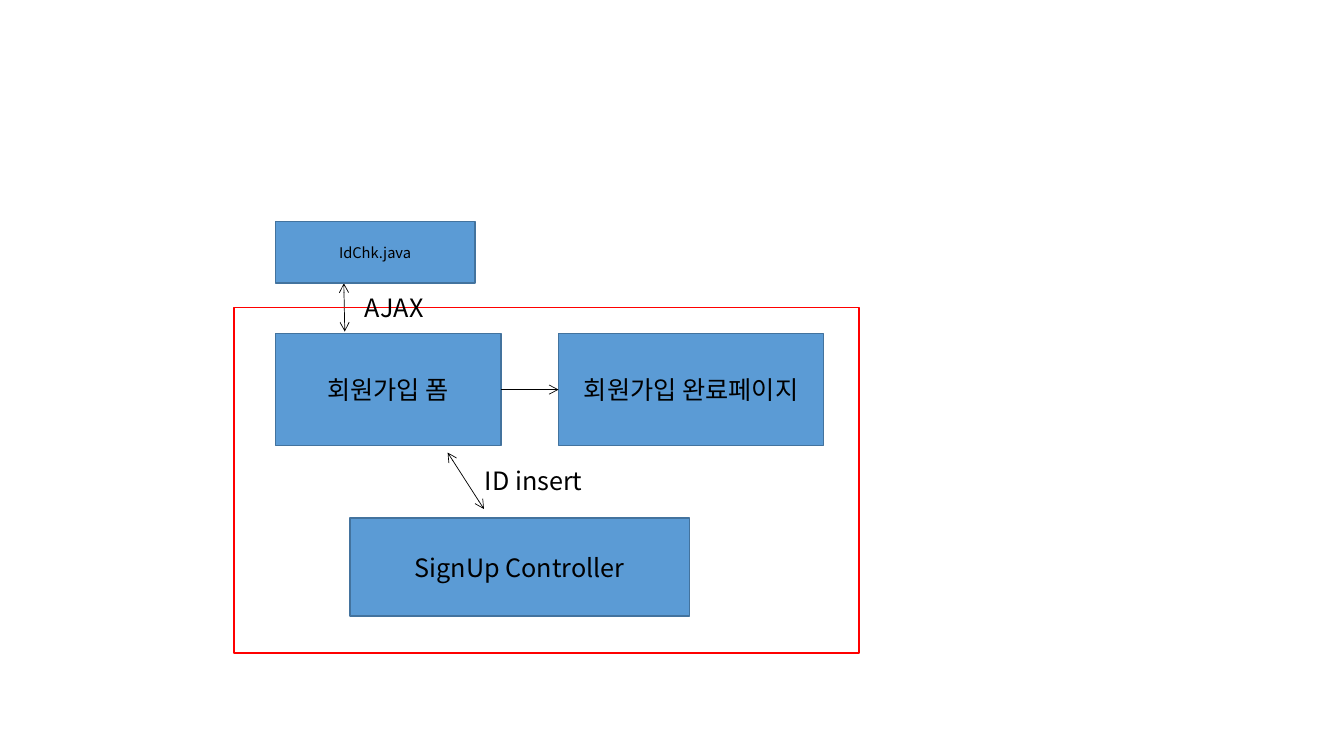
"""Draw the sign-up flow between its pages and server classes."""
import dataclasses

import pptx
import pptx.dml.color
import pptx.enum.shapes
import pptx.enum.text
import pptx.oxml.ns
import pptx.util
from lxml import etree

Inches = pptx.util.Inches
Pt = pptx.util.Pt
RGB = pptx.dml.color.RGBColor.from_string
qn = pptx.oxml.ns.qn
Align = pptx.enum.text.PP_ALIGN
Anchor = pptx.enum.text.MSO_ANCHOR


@dataclasses.dataclass(frozen=True)
class Theme:
    face: str = "Noto Sans CJK KR"
    ink: str = "000000"
    fill: str = "5B9BD5"
    edge: str = "43739E"
    frame: str = "FF0000"
    body: float = 18
    small: float = 10.5
    rule: float = 1
    thin: float = 0.5


class Board:
    def __init__(self, slide, theme):
        self.slide = slide
        self.theme = theme

    def letter(self, shape, text, size, align, anchor):
        frame = shape.text_frame
        for key, value in {"word_wrap": True, "vertical_anchor": anchor}.items():
            setattr(frame, key, value)
        para = frame.paragraphs[0]
        para.alignment = align
        run = para.add_run()
        run.text = text
        run.font.color.rgb = RGB(self.theme.ink)
        for key, value in {"size": Pt(size), "name": self.theme.face}.items():
            setattr(run.font, key, value)
        east = etree.SubElement(run.font._element, qn("a:ea"))
        east.set("typeface", self.theme.face)

    def rect(self, area, edge):
        shape = self.slide.shapes.add_shape(
            pptx.enum.shapes.MSO_SHAPE.RECTANGLE, *map(Inches, area))
        shape.shadow.inherit = False
        shape.fill.background()
        shape.line.color.rgb = RGB(edge)
        shape.line.width = Pt(self.theme.rule)
        return shape

    def box(self, area, text, size=None):
        shape = self.rect(area, self.theme.edge)
        shape.fill.solid()
        shape.fill.fore_color.rgb = RGB(self.theme.fill)
        self.letter(shape, text, size or self.theme.body, Align.CENTER, Anchor.MIDDLE)
        return shape

    def label(self, area, text):
        shape = self.slide.shapes.add_textbox(*map(Inches, area))
        self.letter(shape, text, self.theme.body, Align.LEFT, Anchor.TOP)

    def arrow(self, start, end, both=True):
        line = self.slide.shapes.add_connector(
            pptx.enum.shapes.MSO_CONNECTOR.STRAIGHT, *map(Inches, start + end))
        line.line.color.rgb = RGB(self.theme.ink)
        line.line.width = Pt(self.theme.thin)
        stroke = line._element.spPr.find(qn("a:ln"))
        for tag in ("a:headEnd", "a:tailEnd") if both else ("a:tailEnd",):
            etree.SubElement(stroke, qn(tag)).set("type", "arrow")
        etree.SubElement(line._element.spPr, qn("a:effectLst"))
        return line


def main():
    deck = pptx.Presentation()
    deck.slide_width = Inches(13.33)
    deck.slide_height = Inches(7.5)
    theme = Theme()
    board = Board(deck.slides.add_slide(deck.slide_layouts[6]), theme)

    form = board.box((2.73, 3.31, 2.24, 1.11), "회원가입 폼")
    done = board.box((5.54, 3.31, 2.63, 1.11), "회원가입 완료페이지")
    board.arrow((3.41, 2.81), (3.42, 3.29))
    board.box((2.73, 2.2, 1.98, 0.61), "IdChk.java", theme.small)
    board.box((3.47, 5.14, 3.37, 0.97), "SignUp Controller")
    link = board.arrow((4.97, 3.86), (5.54, 3.86), both=False)
    link.begin_connect(form, 3)
    link.end_connect(done, 1)
    board.rect((2.32, 3.05, 6.2, 3.43), theme.frame)
    board.arrow((4.44, 4.49), (4.8, 5.05))
    board.label((4.71, 4.57, 1.78, 0.4), "ID insert")
    board.label((3.52, 2.85, 1.14, 0.4), "AJAX")

    deck.save("out.pptx")


if __name__ == "__main__":
    main()
